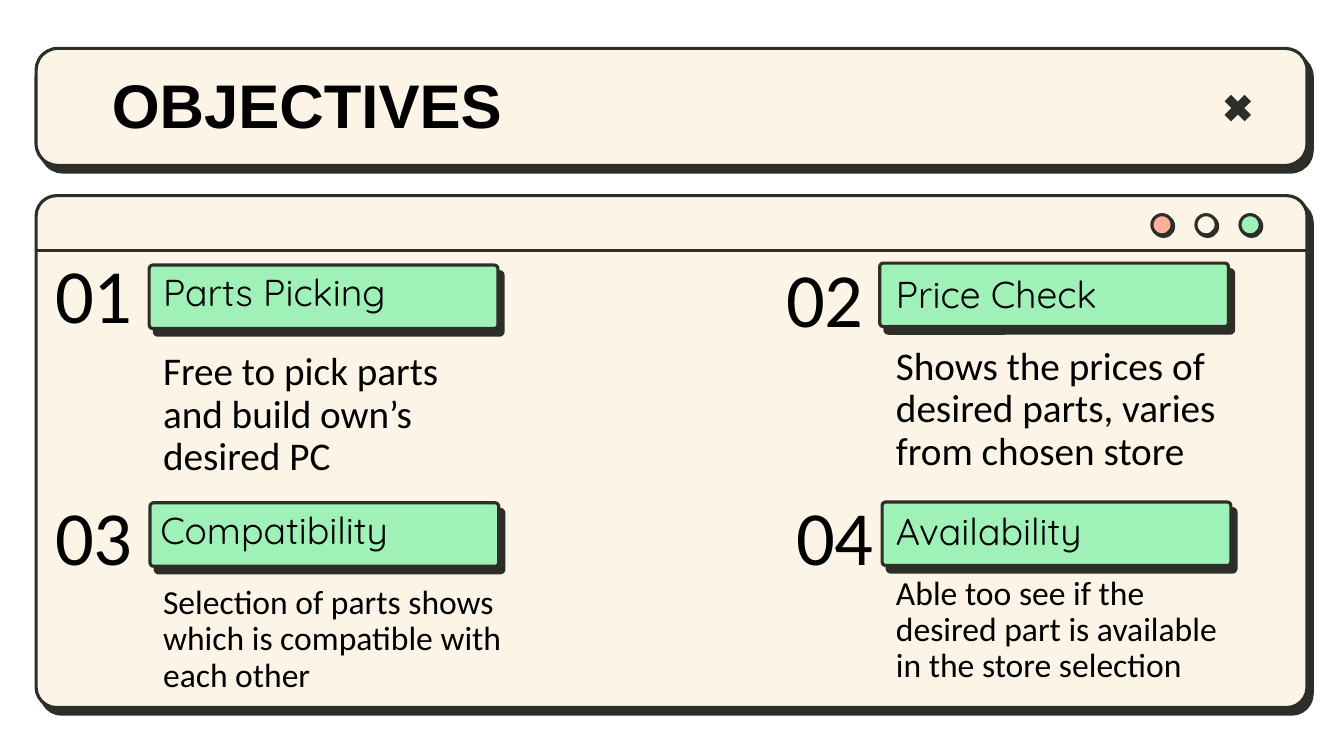
"""Build the objectives slide with its window-style panels."""
import dataclasses

import pptx
import pptx.dml.color
import pptx.enum.shapes
import pptx.enum.text
import pptx.oxml
import pptx.oxml.ns
import pptx.util

Cm = pptx.util.Cm
Pt = pptx.util.Pt
SHAPE = pptx.enum.shapes.MSO_SHAPE
ALIGN = pptx.enum.text.PP_ALIGN
ANCHOR = pptx.enum.text.MSO_ANCHOR


@dataclasses.dataclass(frozen=True)
class Theme:
    cream: str = "FCF4E6"
    ink: str = "2D2E27"
    coral: str = "FFB09C"
    mint: str = "9FF1B7"
    black: str = "000000"
    title_size: float = 44
    number_size: float = 54.7
    label_size: float = 26.7
    large_body: float = 28
    small_body: float = 24
    line_width: float = 2.25


@dataclasses.dataclass(frozen=True)
class Objective:
    number: str
    label: str
    body: str
    body_size: float
    badge_at: tuple
    number_at: tuple
    label_at: tuple
    body_at: tuple


THEME = Theme()
PANEL_LEFT, PANEL_WIDTH = 0.91, 32.03
OBJECTIVES = (
    Objective("01", "Parts Picking", "Free to pick parts and build own’s desired PC",
              THEME.large_body, (3.76, 6.68), (-0.13, 6.45), (3.78, 6.63), (3.78, 9.4)),
    Objective("02", "Price Check", "Shows the prices of desired parts, varies from chosen store",
              THEME.large_body, (22.17, 6.63), (18.29, 6.55), (22.25, 6.68), (22.25, 9.27)),
    Objective("03", "Compatibility", "Selection of parts shows which is compatible with each other",
              THEME.small_body, (3.78, 12.67), (-0.13, 12.55), (3.71, 12.62), (3.78, 15.06)),
    Objective("04", "Availability",
              "Able too see if the desired part is available in the store selection",
              THEME.small_body, (22.23, 12.65), (18.54, 12.57), (22.25, 12.65), (22.25, 14.83)),
)


def apply_format(target, values):
    """Set each named attribute on the target."""
    for name, value in values.items():
        setattr(target, name, value)


def colour(code):
    """Return the RGB colour for a hex code."""
    return pptx.dml.color.RGBColor.from_string(code)


def add_hard_shadow(shape, distance, angle):
    """Give the shape a solid offset shadow."""
    effects = shape._element.spPr.find(pptx.oxml.ns.qn("a:effectLst"))
    effects.append(pptx.oxml.parse_xml(
        f'<a:outerShdw {pptx.oxml.ns.nsdecls("a")} blurRad="0" dist="{Pt(distance)}" '
        f'dir="{angle * 60000}" algn="tl" rotWithShape="0">'
        f'<a:srgbClr val="{THEME.ink}"/></a:outerShdw>'))


def add_solid(page, kind, at, size, fill, adjustment=None):
    """Add a filled shape without line or shadow."""
    shape = page.shapes.add_shape(kind, *map(Cm, at + size))
    shape.shadow.inherit = False
    shape.fill.solid()
    shape.fill.fore_color.rgb = colour(fill)
    shape.line.fill.background()
    if adjustment is not None:
        shape.adjustments[0] = adjustment
    return shape


def add_raised(page, kind, at, size, fill, adjustment=None, distance=6, angle=52):
    """Add an outlined shape with a solid shadow."""
    shape = add_solid(page, kind, at, size, fill, adjustment)
    shape.line.color.rgb = colour(THEME.ink)
    shape.line.width = Pt(THEME.line_width)
    add_hard_shadow(shape, distance, angle)


def add_rule(page, left, right, top):
    """Add a horizontal line."""
    rule = page.shapes.add_connector(
        pptx.enum.shapes.MSO_CONNECTOR.STRAIGHT, Cm(left), Cm(top), Cm(right), Cm(top))
    rule.line.color.rgb = colour(THEME.ink)
    rule.line.width = Pt(THEME.line_width)
    rule._element.spPr.append(
        pptx.oxml.parse_xml(f'<a:effectLst {pptx.oxml.ns.nsdecls("a")}/>'))


def add_text(page, text, at, size, font, points,
             bold=False, align=ALIGN.LEFT, anchor=ANCHOR.MIDDLE):
    """Add a wrapped text box with one paragraph."""
    box = page.shapes.add_textbox(*map(Cm, at + size))
    frame = box.text_frame
    sides = ("left", "right", "top", "bottom")
    apply_format(frame, {"word_wrap": True, "vertical_anchor": anchor,
                         **{f"margin_{side}": Cm(0.33) for side in sides}})
    para = frame.paragraphs[0]
    apply_format(para, {"alignment": align, "line_spacing": 0.9})
    span = para.add_run()
    span.text = text
    apply_format(span.font, {"name": font, "size": Pt(points), "bold": bold})
    span.font.color.rgb = colour(THEME.black)


def add_windows(page):
    """Add the title panel and the content window with its controls."""
    for top, height, corner in ((1.22, 2.95, 0.186), (4.93, 12.9, 0.04)):
        add_raised(page, SHAPE.ROUNDED_RECTANGLE, (PANEL_LEFT, top),
                   (PANEL_WIDTH, height), THEME.cream, corner)
    add_rule(page, PANEL_LEFT, PANEL_LEFT + PANEL_WIDTH, 6.32)
    for index, fill in enumerate((THEME.coral, THEME.cream, THEME.mint)):
        add_raised(page, SHAPE.OVAL, (29.03 + 1.11 * index, 5.41), (0.51, 0.51),
                   fill, distance=1.5, angle=45)
    add_solid(page, SHAPE.MATH_MULTIPLY, (30.71, 2.24), (0.97, 0.97), THEME.ink, 0.235)


def add_objective(page, item):
    """Add one numbered objective with its badge and description."""
    add_raised(page, SHAPE.ROUNDED_RECTANGLE, item.badge_at, (8.79, 1.6), THEME.mint, 0.057)
    add_text(page, item.number, item.number_at, (5, 2.13), "Calibri",
             THEME.number_size, align=ALIGN.CENTER)
    add_text(page, item.label, item.label_at, (7.59, 1.6), "Quicksand", THEME.label_size)
    add_text(page, item.body, item.body_at, (9.27, 2.13), "Calibri", item.body_size)


def main():
    """Create the deck and save it."""
    deck = pptx.Presentation()
    apply_format(deck, {"slide_width": Cm(33.87), "slide_height": Cm(19.05)})
    page = deck.slides.add_slide(deck.slide_layouts[6])
    add_windows(page)
    add_text(page, "OBJECTIVES", (2.49, 1.57), (28.52, 2.13), "Arial",
             THEME.title_size, bold=True, anchor=ANCHOR.TOP)
    for item in OBJECTIVES:
        add_objective(page, item)
    deck.save("out.pptx")


if __name__ == "__main__":
    main()
